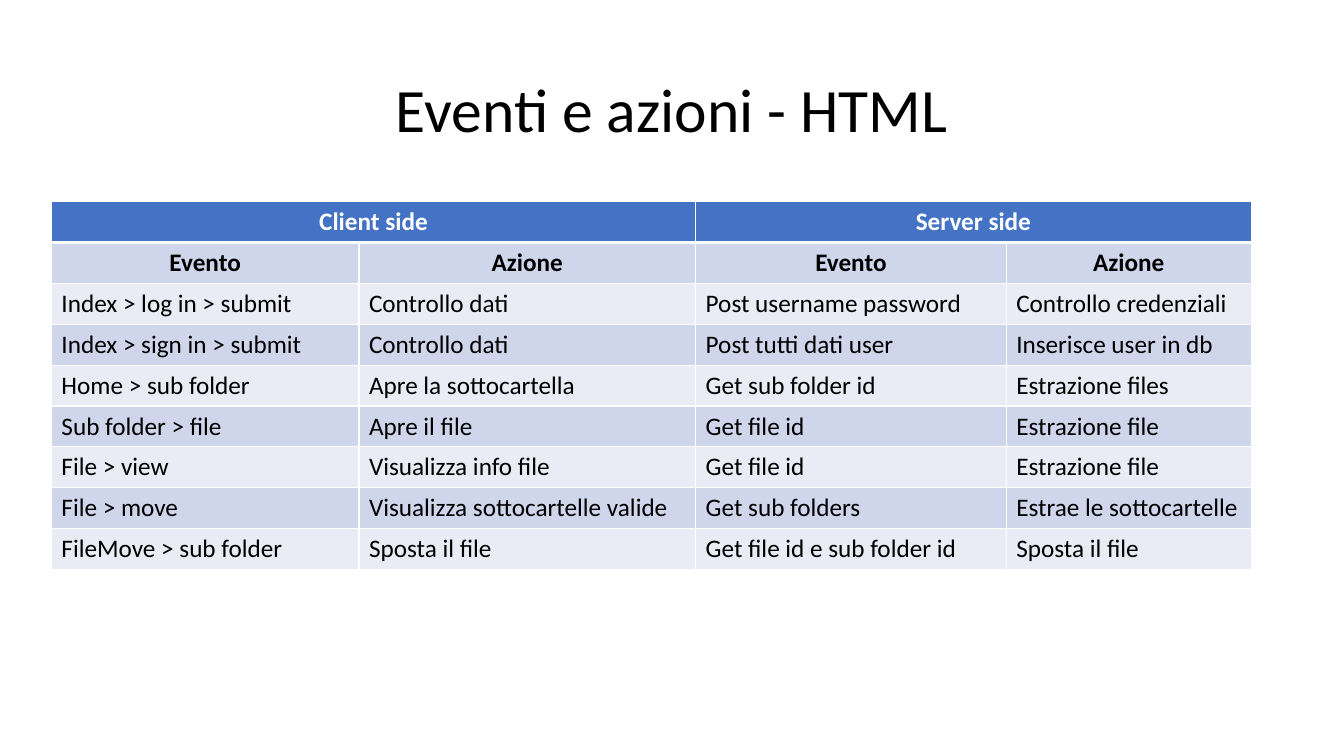
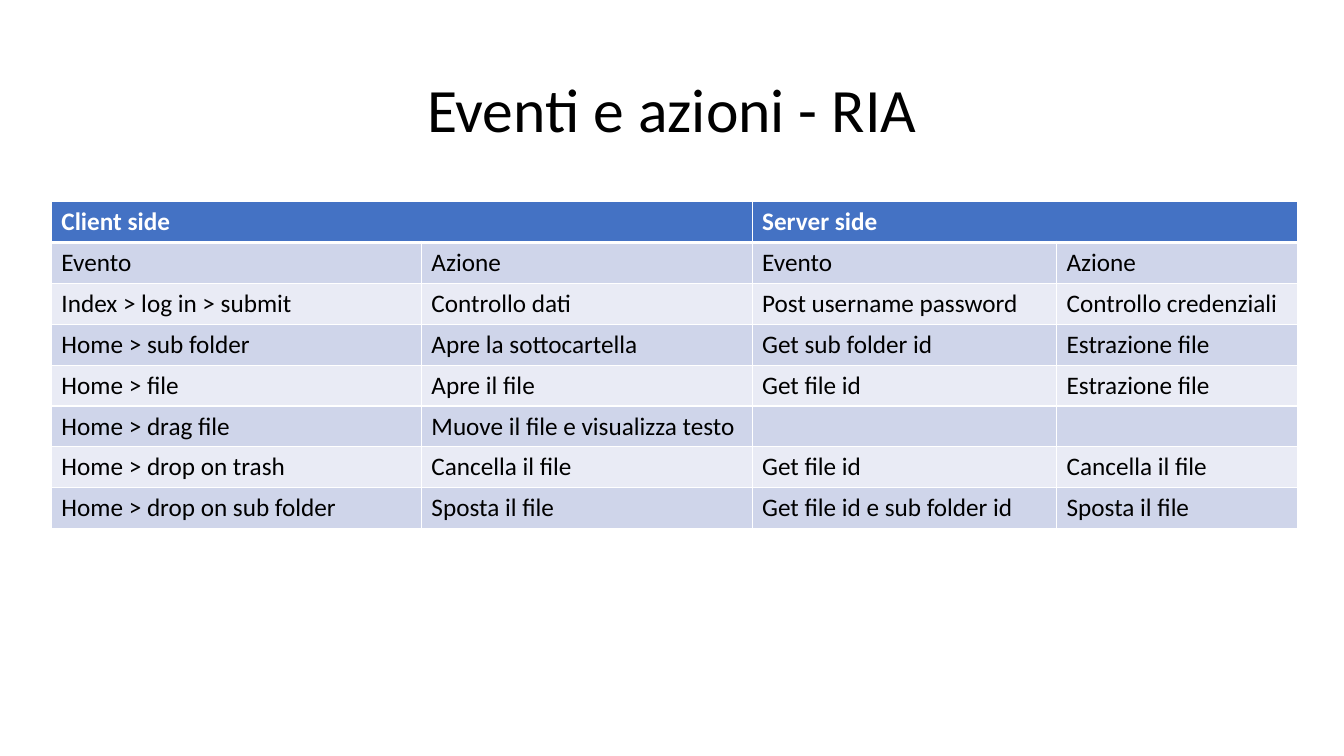
from lxml import etree
from pptx import Presentation, util as u
from pptx.dml.color import RGBColor
from pptx.enum import text
from pptx.oxml.ns import qn

FONT = "Calibri"
BLACK, WHITE = "000000", "FFFFFF"
HEADER, BANDS = "4472C4", ("E9EBF5", "CFD5EA")
LEFT, CENTER = text.PP_ALIGN.LEFT, text.PP_ALIGN.CENTER
THIN, THICK = 1, 3

SIDES = ("Client side", "", "Server side", "")
COLUMNS = ("Evento", "Azione") * 2

# title, heading alignment, subheading bold, column widths in inches, events
PAGES = [
    ("Eventi e azioni - HTML", CENTER, True, (3.05, 3.34, 3.08, 2.43), [
        ("Index > log in > submit", "Controllo dati", "Post username password", "Controllo credenziali"),
        ("Index > sign in > submit", "Controllo dati", "Post tutti dati user", "Inserisce user in db"),
        ("Home > sub folder", "Apre la sottocartella", "Get sub folder id", "Estrazione files"),
        ("Sub folder > file", "Apre il file", "Get file id", "Estrazione file"),
        ("File > view", "Visualizza info file", "Get file id", "Estrazione file"),
        ("File > move", "Visualizza sottocartelle valide", "Get sub folders", "Estrae le sottocartelle"),
        ("FileMove > sub folder", "Sposta il file", "Get file id e sub folder id", "Sposta il file"),
    ]),
    ("Eventi e azioni - RIA", LEFT, False, (3.67, 3.28, 3.02, 2.39), [
        ("Index > log in > submit", "Controllo dati", "Post username password", "Controllo credenziali"),
        ("Home > sub folder", "Apre la sottocartella", "Get sub folder id", "Estrazione file"),
        ("Home > file", "Apre il file", "Get file id", "Estrazione file"),
        ("Home > drag file", "Muove il file e visualizza testo", "", ""),
        ("Home > drop on trash", "Cancella il file", "Get file id", "Cancella il file"),
        ("Home > drop on sub folder", "Sposta il file", "Get file id e sub folder id", "Sposta il file"),
    ]),
]


def write(frame, words, size=18, color=BLACK, bold=False, align=LEFT, spacing=1.0):
    frame.text = words
    paragraph = frame.paragraphs[0]
    paragraph.alignment = align
    paragraph.line_spacing = spacing
    font = paragraph.font if not words else paragraph.runs[0].font
    font.name, font.size, font.bold = FONT, u.Pt(size), bold
    font.color.rgb = RGBColor.from_string(color)


def paint(cell, fill, top, bottom):
    """Fill a cell and rule its four sides in white; top and bottom are widths in points."""
    properties = cell._tc.get_or_add_tcPr()
    for side, width in (("L", THIN), ("R", THIN), ("T", top), ("B", bottom)):
        line = etree.SubElement(properties, qn(f"a:ln{side}"), w=str(u.Pt(width)))
        solid = etree.SubElement(line, qn("a:solidFill"))
        etree.SubElement(solid, qn("a:srgbClr"), val=WHITE)
    cell.fill.solid()
    cell.fill.fore_color.rgb = RGBColor.from_string(fill)


deck = Presentation()
deck.slide_width, deck.slide_height = u.Inches(13.33), u.Inches(7.5)
W, H = deck.slide_width, deck.slide_height
row_height = int(H * 0.054)
title_only = deck.slide_layouts[5]

for heading, heading_align, subheading_bold, widths, events in PAGES:
    slide = deck.slides.add_slide(title_only)
    title = slide.shapes.title
    title.left, title.top = int(W * 0.069), int(H * 0.053)
    title.width, title.height = W - 2 * title.left, int(H * 0.193)
    write(title.text_frame, heading, size=44, align=CENTER, spacing=0.9)
    title.text_frame.vertical_anchor = text.MSO_ANCHOR.MIDDLE

    rows = [SIDES, COLUMNS, *events]
    grid = slide.shapes.add_table(
        len(rows), len(widths), u.Inches(0.51), u.Inches(2),
        u.Inches(sum(widths)), row_height * len(rows)).table
    grid.horz_banding = False
    for column, width in zip(grid.columns, widths):
        column.width = u.Inches(width)
    for first in (0, 2):
        grid.cell(0, first).merge(grid.cell(0, first + 1))

    for r, row in enumerate(rows):
        grid.rows[r].height = row_height
        for c, words in enumerate(row):
            cell = grid.cell(r, c)
            paint(cell, HEADER if r == 0 else BANDS[r % 2],
                  top=THICK if r == 1 else THIN, bottom=THICK if r == 0 else THIN)
            write(cell.text_frame, words,
                  color=WHITE if r == 0 else BLACK,
                  bold=r == 0 or (r == 1 and subheading_bold),
                  align=heading_align if r < 2 else LEFT)

deck.save("out.pptx")
